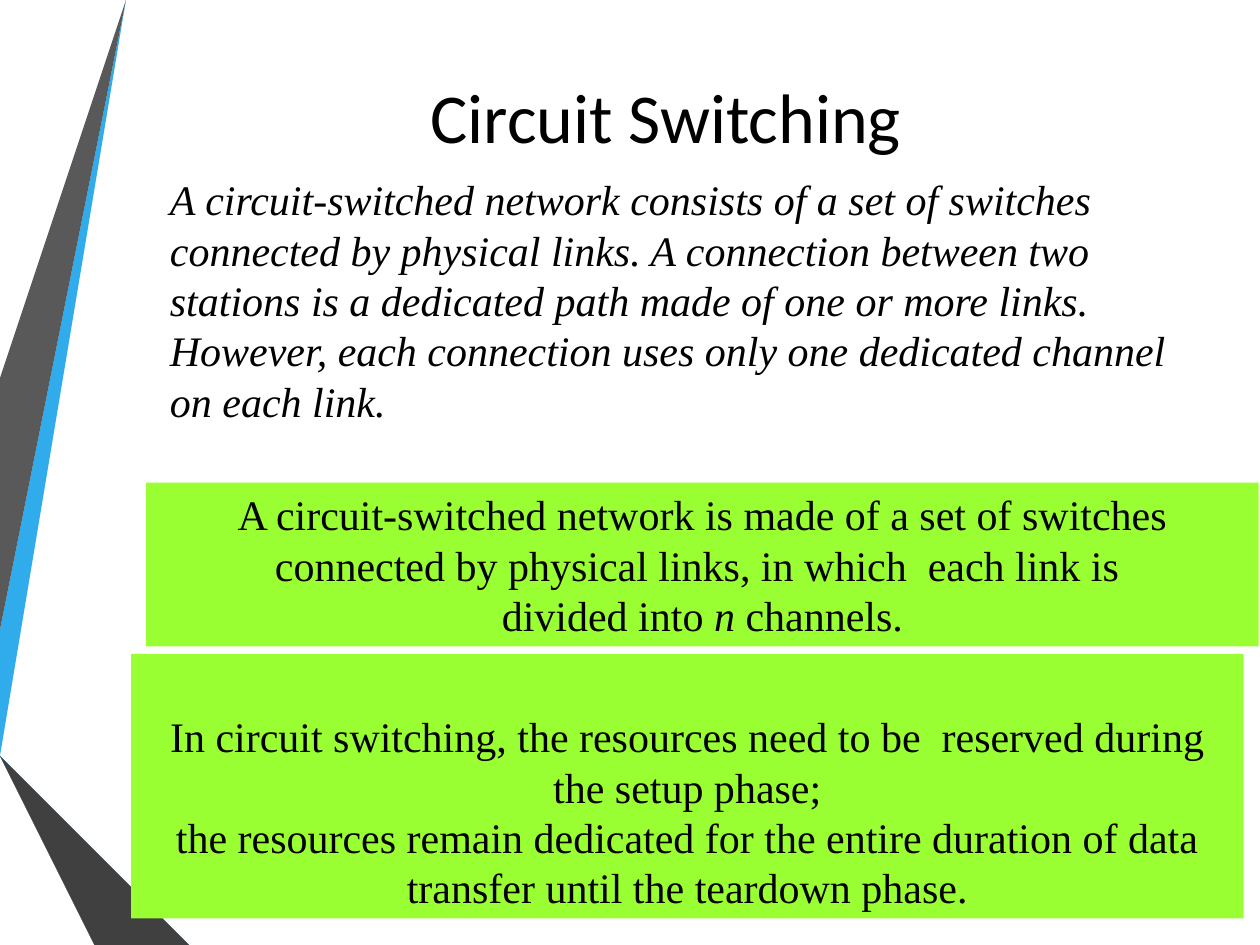
from dataclasses import dataclass

from pptx import Presentation
from pptx.dml.color import RGBColor
from pptx.enum.shapes import MSO_SHAPE
from pptx.enum.text import MSO_ANCHOR, PP_ALIGN
from pptx.util import Inches, Pt

RECT = MSO_SHAPE.RECTANGLE
LEFT, CENTER = PP_ALIGN.LEFT, PP_ALIGN.CENTER
TOP, MIDDLE, BOTTOM = MSO_ANCHOR.TOP, MSO_ANCHOR.MIDDLE, MSO_ANCHOR.BOTTOM

COLS, ROWS = 10, 7.5
CELL = Inches(1)


@dataclass(frozen=True)
class Theme:
    text: str = "000000"
    callout: str = "99FF33"
    sky: str = "30ACEC"
    blue: str = "1287C3"
    navy: str = "0C5A82"
    gray: str = "595959"
    charcoal: str = "404040"
    black: str = "262626"
    title_font: str = "Calibri"
    body_font: str = "Times New Roman"
    title_size: int = 40
    body_size: int = 24


class SlideBuilder:
    """Places elements on one slide; all lengths are grid columns and rows."""

    def __init__(self, slide, theme):
        self.slide = slide
        self.theme = theme

    def _paint(self, sp, color):
        sp.shadow.inherit = False
        sp.fill.solid()
        sp.fill.fore_color.rgb = RGBColor.from_string(color)
        sp.line.fill.background()

    def _write(self, sp, parts, font, size, align, anchor, italic=False):
        """Write parts into one paragraph; every second part flips the slant."""
        tf = sp.text_frame
        tf.word_wrap = True
        tf.vertical_anchor = anchor
        p = tf.paragraphs[0]
        p.alignment = align
        p.text = parts[0]
        for r in p.runs:
            r.font.italic = italic
        for i, part in enumerate(parts[1:], 1):
            r = p.add_run()
            r.text = part
            r.font.italic = italic ^ (i % 2 == 1)
        for r in p.runs:
            r.font.name = font
            r.font.size = Pt(size)
            r.font.color.rgb = RGBColor.from_string(self.theme.text)

    def _textbox(self, box):
        return self.slide.shapes.add_textbox(*(round(v * CELL) for v in box))

    def band(self, color, points):
        builder = self.slide.shapes.build_freeform(*points[0], scale=CELL)
        builder.add_line_segments(points[1:], close=True)
        self._paint(builder.convert_to_shape(), color)

    def title(self, box, text):
        th = self.theme
        self._write(self._textbox(box), [text], th.title_font, th.title_size,
                    CENTER, MIDDLE)

    def body(self, box, text):
        th = self.theme
        self._write(self._textbox(box), [text], th.body_font, th.body_size,
                    LEFT, TOP, italic=True)

    def callout(self, box, *parts):
        th = self.theme
        sp = self.slide.shapes.add_shape(RECT, *(round(v * CELL) for v in box))
        self._paint(sp, th.callout)
        self._write(sp, parts, th.body_font, th.body_size, CENTER, BOTTOM)


def main():
    prs = Presentation()
    prs.slide_width, prs.slide_height = round(COLS * CELL), round(ROWS * CELL)
    theme = Theme()
    s = SlideBuilder(prs.slides.add_slide(prs.slide_layouts[6]), theme)

    bands = [
        (theme.sky, [(0, 5.44), (0, 5.75), (0.22, 5.79), (1.17, 0), (0.89, 0)]),
        (theme.gray, [(0.83, 0), (0.55, 0), (0, 3.36), (0, 5.06)]),
        (theme.black, [(0, 6.19), (0, 6.21), (0.93, ROWS), (0.99, ROWS)]),
        (theme.navy, [(0, 5.79), (0, 5.8), (1.56, ROWS), (1.63, ROWS)]),
        (theme.blue, [(0, 5.79), (1.63, ROWS), (2.33, ROWS), (0.22, 5.79),
                      (0, 5.75)]),
        (theme.charcoal, [(0, 6.19), (0.99, ROWS), (1.51, ROWS), (0, 5.86)]),
    ]
    for color, points in bands:
        s.band(color, points)

    s.title((1.07, 0.5, 8.43, 0.83), "Circuit Switching")
    s.body((1.25, 1.33, 8.42, 2.1),
           "A circuit-switched network consists of a set of switches connected "
           "by physical links. A connection between two stations is a dedicated "
           "path made of one or more links. However, each connection uses only "
           "one dedicated channel on each link.")
    s.callout((1.16, 3.83, 8.83, 1.3),
              "A circuit-switched network is made of a set of switches connected "
              "by physical links, in which  each link is \vdivided into ",
              "n", " channels.")
    s.callout((1.04, 5.19, 8.83, 2.1),
              "In circuit switching, the resources need to be  reserved during "
              "the setup phase;\vthe resources remain dedicated for the entire "
              "duration of data transfer until the teardown phase.")

    prs.save("out.pptx")


if __name__ == "__main__":
    main()
